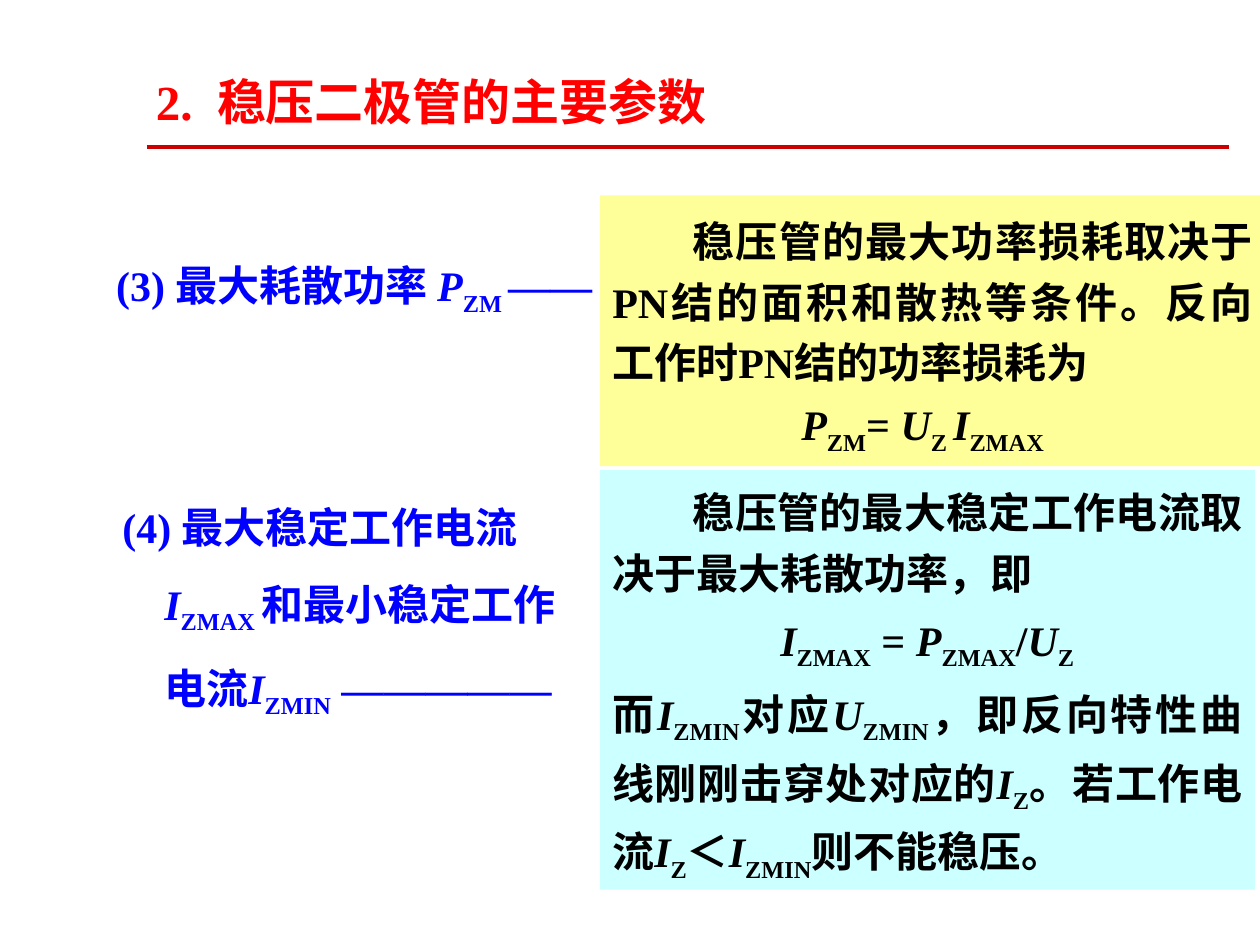
from dataclasses import dataclass

from lxml import etree
from pptx import Presentation
from pptx.dml.color import RGBColor
from pptx.enum.shapes import MSO_CONNECTOR, MSO_SHAPE
from pptx.enum.text import MSO_ANCHOR, MSO_AUTO_SIZE, PP_ALIGN
from pptx.oxml.ns import qn
from pptx.util import Pt

RECT = MSO_SHAPE.RECTANGLE
STRAIGHT = MSO_CONNECTOR.STRAIGHT
TOP, MIDDLE = MSO_ANCHOR.TOP, MSO_ANCHOR.MIDDLE
LEFT, JUSTIFY = PP_ALIGN.LEFT, PP_ALIGN.JUSTIFY
GROW = MSO_AUTO_SIZE.SHAPE_TO_FIT_TEXT
FONT = "Times New Roman"
RED, BLUE, BLACK = "FF0000", "0000FF", "000000"


@dataclass
class Run:
    text: str
    italic: bool = False
    sub: bool = False


@dataclass
class Para:
    runs: list[Run]
    indent: float = 0


@dataclass
class Block:
    box: tuple[float, float, float, float]
    paras: list[Para]
    color: str
    size: float = 24
    fill: str | None = None
    before: float = 0
    spacing: float = 1
    align: PP_ALIGN = LEFT
    anchor: MSO_ANCHOR = MIDDLE
    wrap: bool = True


def rgb(value: str) -> RGBColor:
    return RGBColor.from_string(value)


def plain(text: str) -> list[Run]:
    return [Run(text)]


def symbol(letter: str, index: str) -> list[Run]:
    return [Run(letter, italic=True), Run(index, sub=True)]


def add_run(p, run: Run, block: Block) -> None:
    r = p.add_run()
    r.text = run.text
    r.font.name = FONT
    r.font.size = Pt(block.size)
    r.font.bold = True
    r.font.italic = run.italic
    r.font.color.rgb = rgb(block.color)
    if run.sub:
        r.font._element.set("baseline", "-25000")


def add_block(s, block: Block) -> None:
    box = [Pt(v) for v in block.box]
    if block.fill:
        sp = s.shapes.add_shape(RECT, *box)
        sp.shadow.inherit = False
        sp.fill.solid()
        sp.fill.fore_color.rgb = rgb(block.fill)
        sp.line.fill.background()
    else:
        sp = s.shapes.add_textbox(*box)
    tf = sp.text_frame
    tf.word_wrap = block.wrap
    tf.auto_size = GROW
    tf.vertical_anchor = block.anchor
    for i, para in enumerate(block.paras):
        p = tf.add_paragraph() if i else tf.paragraphs[0]
        p.alignment = block.align
        p.line_spacing = block.spacing
        p.space_before = Pt(block.before if i else 0)
        p._p.get_or_add_pPr().set("indent", str(Pt(para.indent)))
        for run in para.runs:
            add_run(p, run, block)


def add_rule(s, x1: float, x2: float, y: float, color: str, width: float) -> None:
    line = s.shapes.add_connector(STRAIGHT, Pt(x1), Pt(y), Pt(x2), Pt(y))
    line.line.color.rgb = rgb(color)
    line.line.width = Pt(width)
    etree.SubElement(line._element.spPr, qn("a:effectLst"))


TITLE = Block((82, 37.5, 442, 41), [Para(plain("2.  稳压二极管的主要参数"))],
              RED, size=28, anchor=TOP)

POWER = Block(
    (53.3, 144.7, 303.8, 40.3),
    [Para(plain("(3) 最大耗散功率 ") + symbol("P", "ZM ") + plain("——"), 6)],
    BLUE, wrap=False)

POWER_NOTE = Block(
    (342.8, 111.6, 380.2, 154.8),
    [Para(plain("稳压管的最大功率损耗取决于PN结的面积和散热等条件。"
                "反向工作时PN结的功率损耗为"), 46),
     Para(symbol("P", "ZM") + plain("= ") + symbol("U", "Z ")
          + symbol("I", "ZMAX"), 108)],
    BLACK, fill="FFFF99", spacing=1.2, align=JUSTIFY)

CURRENT = Block(
    (56.9, 283, 360, 131.8),
    [Para(plain("(4) 最大稳定工作电流"), 6),
     Para(symbol("I", "ZMAX ") + plain("和最小稳定工作"), 30),
     Para(plain("电流") + symbol("I", "ZMIN") + plain(" —————"), 30)],
    BLUE, before=15)

CURRENT_NOTE = Block(
    (342.8, 268.6, 374.4, 239.8),
    [Para(plain("稳压管的最大稳定工作电流取决于最大耗散功率，即"), 46),
     Para(symbol("I", "ZMAX") + plain(" = ") + symbol("P", "ZMAX")
          + plain("/") + symbol("U", "Z"), 96),
     Para(plain("而") + symbol("I", "ZMIN") + plain("对应")
          + symbol("U", "ZMIN") + plain("，即反向特性曲线刚刚击穿处对应的")
          + symbol("I", "Z") + plain("。若工作电流") + symbol("I", "Z")
          + plain("＜") + symbol("I", "ZMIN") + plain("则不能稳压。"))],
    BLACK, fill="CCFFFF", before=3, spacing=1.2, align=JUSTIFY)


def main() -> None:
    prs = Presentation()
    prs.slide_width, prs.slide_height = Pt(720), Pt(540)
    s = prs.slides.add_slide(prs.slide_layouts[6])
    add_rule(s, 84, 702, 84, "CC0000", 2.5)
    for block in (POWER, POWER_NOTE, CURRENT, CURRENT_NOTE, TITLE):
        add_block(s, block)
    prs.save("out.pptx")


if __name__ == "__main__":
    main()
